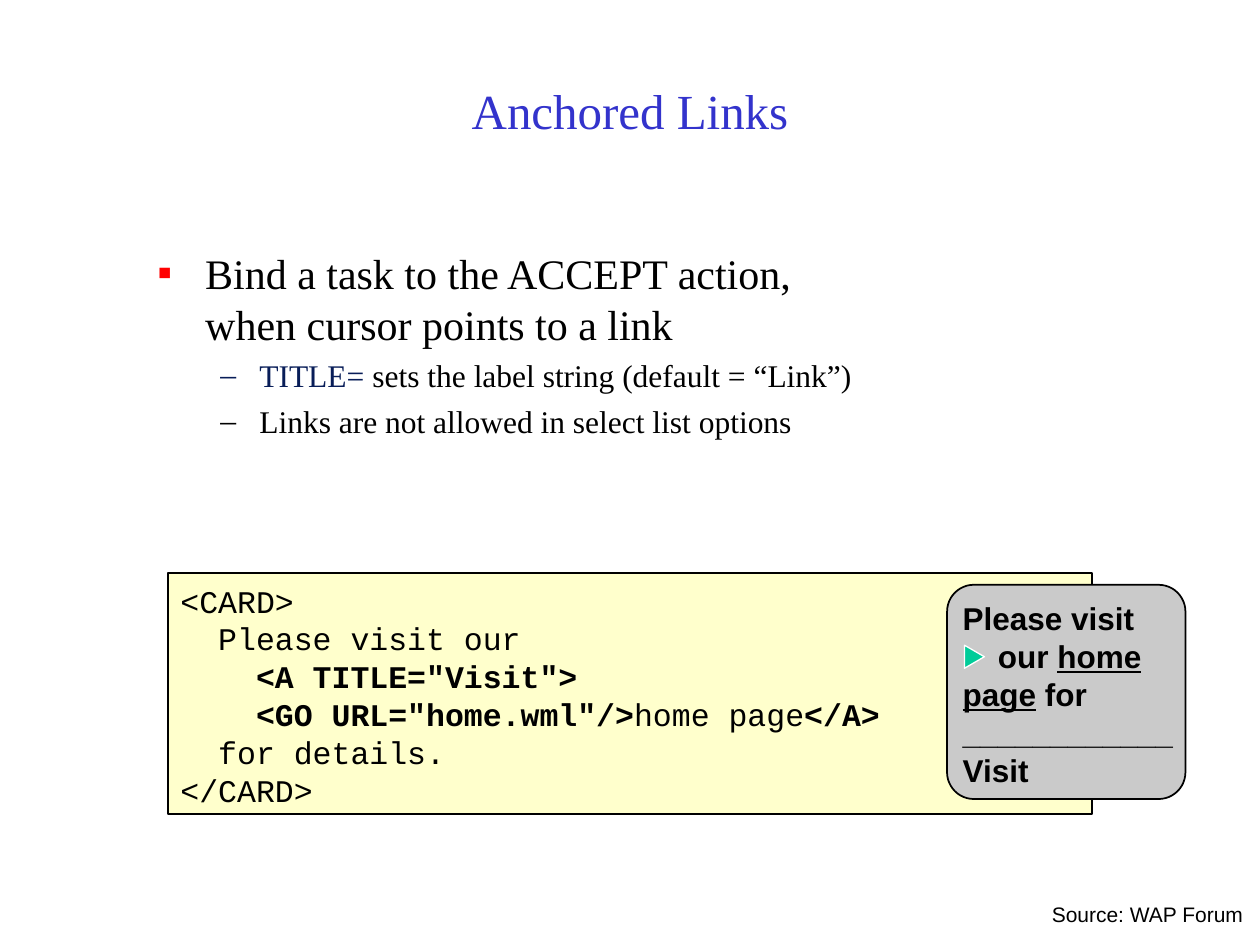
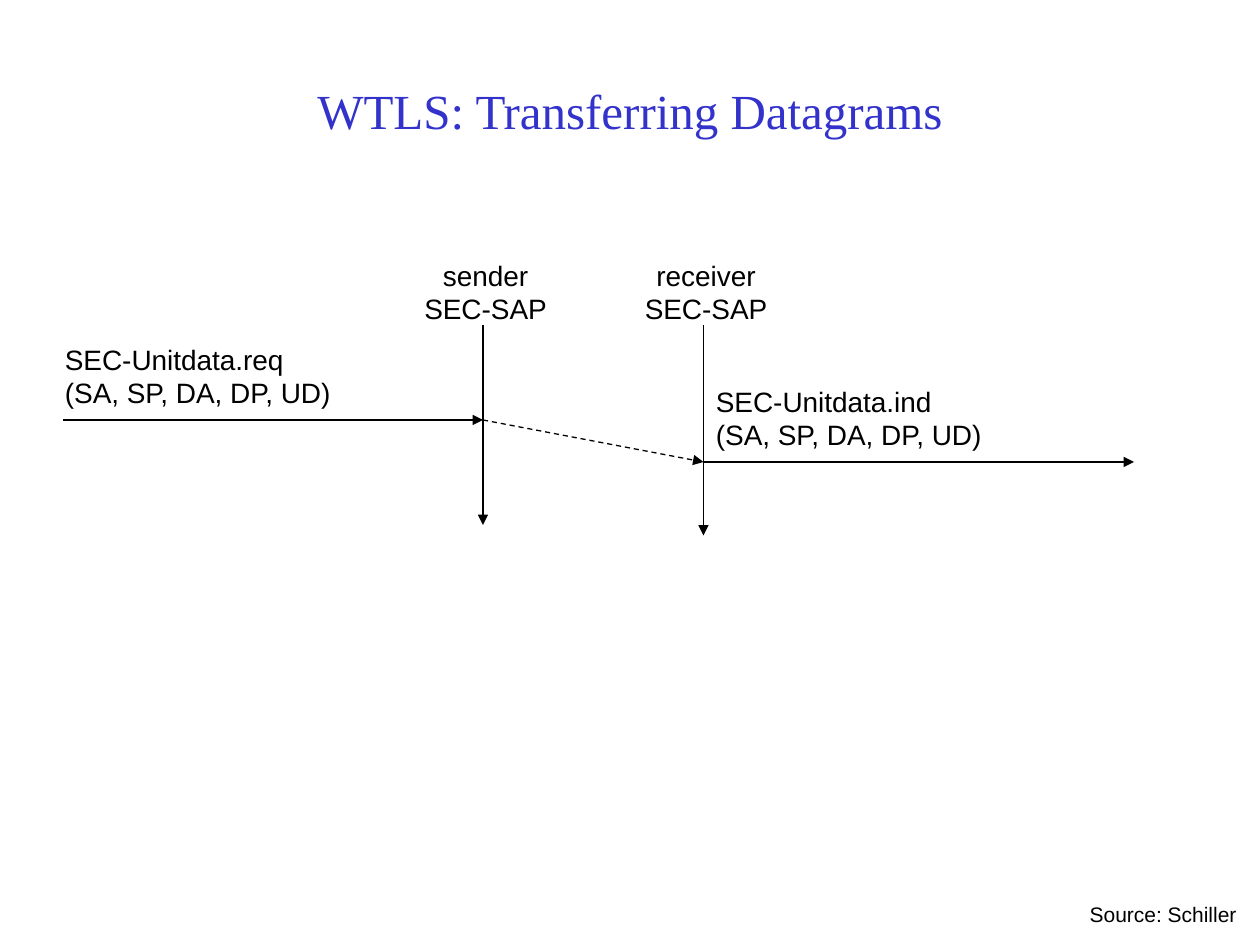
from dataclasses import dataclass

from lxml import etree
from pptx import Presentation
from pptx.dml.color import RGBColor
from pptx.enum import dml, shapes, text
from pptx.oxml.ns import qn
from pptx.util import Emu, Inches, Pt

COLUMNS, ROWS = 120, 90  # twelve grid steps to the inch


@dataclass(frozen=True)
class Theme:
    serif: str = "Times New Roman"
    sans: str = "Arial"
    mono: str = "Courier New"
    ink: str = "000000"
    title: str = "3333CC"
    bullet: str = "FF0000"
    keyword: str = "081D58"
    code_fill: str = "FFFFCC"
    screen_fill: str = "CACACA"
    cursor_fill: str = "00CC99"
    paper: str = "FFFFFF"
    title_size: int = 28
    lead_size: int = 24
    body_size: int = 18
    label_size: int = 16
    source_size: int = 12
    border: float = 1
    hairline: float = 0.75


def add_child(parent, tag, **attributes):
    return etree.SubElement(parent, qn(tag), attributes)


class Deck:
    """Holds the theme and the current slide; lengths are grid columns and rows."""

    def __init__(self, theme):
        self.theme = theme
        self.show = Presentation()
        self.show.slide_width, self.show.slide_height = Inches(10), Inches(7.5)
        self.slide = None

    def x(self, columns):
        return Emu(round(self.show.slide_width * columns / COLUMNS))

    def y(self, rows):
        return Emu(round(self.show.slide_height * rows / ROWS))

    def box(self, left, top, width, height):
        return self.x(left), self.y(top), self.x(width), self.y(height)

    def start_slide(self, title, source, source_left):
        """Open a title-only slide with its heading and source line."""
        t = self.theme
        self.slide = self.show.slides.add_slide(self.show.slide_layouts[5])
        heading = self.slide.shapes.title
        places = zip(("left", "top", "width", "height"), self.box(9, 3, 102, 15))
        for side, value in places:
            setattr(heading, side, value)
        self.set_frame(heading.text_frame, anchor=text.MSO_ANCHOR.MIDDLE)
        self.fill_paragraph(heading.text_frame.paragraphs[0], [title], t.serif,
                            t.title_size, t.title, text.PP_ALIGN.CENTER)
        self.text((source_left, 85.3, 118 - source_left, 3.6), [[source]],
                  t.sans, t.source_size, wrap=False)

    def set_frame(self, frame, wrap=True, anchor=text.MSO_ANCHOR.TOP):
        settings = {
            "word_wrap": wrap, "vertical_anchor": anchor,
            "auto_size": text.MSO_AUTO_SIZE.NONE,
            "margin_left": Inches(0.1), "margin_right": Inches(0.1),
            "margin_top": Inches(0.05), "margin_bottom": Inches(0.05),
        }
        for name, value in settings.items():
            setattr(frame, name, value)

    def fill_paragraph(self, paragraph, runs, font, size, color=None, align=None):
        """Fill a paragraph; a run is plain text or (text, format dict)."""
        paragraph.alignment = align or text.PP_ALIGN.LEFT
        for run in runs:
            words, extra = (run, {}) if isinstance(run, str) else run
            style = {"name": font, "size": Pt(size), "bold": False, **extra}
            ink = style.pop("color", color or self.theme.ink)
            for number, line in enumerate(words.split("\n")):
                if number:
                    paragraph.add_line_break()
                piece = paragraph.add_run()
                piece.text = line
                for name, value in style.items():
                    setattr(piece.font, name, value)
                piece.font.color.rgb = RGBColor.from_string(ink)

    def text(self, place, lines, font, size, align=None, wrap=True):
        frame = self.slide.shapes.add_textbox(*self.box(*place)).text_frame
        self.set_frame(frame, wrap)
        for number, runs in enumerate(lines):
            paragraph = frame.add_paragraph() if number else frame.paragraphs[0]
            self.fill_paragraph(paragraph, runs, font, size, align=align)
        return frame

    def indent(self, paragraph, margin, first=0.0):
        properties = paragraph._p.get_or_add_pPr()
        properties.set("marL", str(Inches(margin)))
        properties.set("indent", str(Inches(first)))
        return properties

    def bullets(self, place, items):
        """Items are (level, bullet colour, runs)."""
        t = self.theme
        levels = ((0.38, -0.38, "▪", t.lead_size, 6),
                  (0.81, -0.31, "–", t.body_size, 4.5))
        frame = self.text(place, [], t.serif, t.body_size)
        for number, (level, color, runs) in enumerate(items):
            margin, first, mark, size, before = levels[level]
            paragraph = frame.add_paragraph() if number else frame.paragraphs[0]
            paragraph.level = level
            if number:
                paragraph.space_before = Pt(before)
            properties = self.indent(paragraph, margin, first)
            add_child(add_child(properties, "a:buClr"), "a:srgbClr", val=color)
            add_child(properties, "a:buFont", typeface=t.serif)
            add_child(properties, "a:buChar", char=mark)
            self.fill_paragraph(paragraph, runs, t.serif, size)

    def shape(self, preset, place, fill, line=None, width=None, adjust=None, turn=0):
        figure = self.slide.shapes.add_shape(preset, *self.box(*place))
        figure.shadow.inherit = False
        figure.fill.solid()
        figure.fill.fore_color.rgb = RGBColor.from_string(fill)
        figure.line.color.rgb = RGBColor.from_string(line or self.theme.ink)
        figure.line.width = Pt(width or self.theme.border)
        figure.rotation = turn
        if adjust is not None:
            figure.adjustments[0] = adjust

    def arrow(self, start, end, dashed=False):
        (x1, y1), (x2, y2) = start, end
        link = self.slide.shapes.add_connector(
            shapes.MSO_CONNECTOR.STRAIGHT,
            self.x(x1), self.y(y1), self.x(x2), self.y(y2))
        link.line.color.rgb = RGBColor.from_string(self.theme.ink)
        link.line.width = Pt(self.theme.hairline)
        if dashed:
            link.line.dash_style = dml.MSO_LINE.DASH
        properties = link._element.spPr
        add_child(properties.find(qn("a:ln")), "a:tailEnd", type="triangle")
        add_child(properties, "a:effectLst")


def anchored_links(deck):
    t = deck.theme
    deck.start_slide("Anchored Links", "Source: WAP Forum", 99)
    bold = {"bold": True}
    underlined = {"bold": True, "underline": True}

    # Explanation
    deck.bullets((13.8, 23, 105, 58), [
        (0, t.bullet,
         ["Bind a task to the ACCEPT action,\nwhen cursor points to a link"]),
        (1, t.keyword, [("TITLE=", {"color": t.keyword}),
                        " sets the label string (default = “Link”)"]),
        (1, t.ink, ["Links are not allowed in select list options"]),
    ])

    # Code listing
    deck.shape(shapes.MSO_SHAPE.RECTANGLE, (16, 54.6, 88, 22.9), t.code_fill)
    deck.text((16, 54.8, 93, 22.8), [
        ["<CARD>"],
        ["  Please visit our"],
        [("    <A TITLE=\"Visit\">", bold)],
        [("    <GO URL=\"home.wml\"/>", bold), "home page", ("</A>", bold)],
        ["  for details."],
        ["</CARD>"],
    ], t.mono, t.body_size)

    # Phone screen with its cursor
    deck.shape(shapes.MSO_SHAPE.ROUNDED_RECTANGLE, (90.2, 55.7, 22.7, 20.4),
               t.screen_fill, adjust=0.125)
    screen = deck.text((90.5, 56.5, 23.6, 19.2), [
        [("Please visit", bold)],
        [("our ", bold), ("home", underlined)],
        [("page", underlined), (" for", bold)],
        [("____________", bold)],
        [("Visit", bold)],
    ], t.sans, t.body_size)
    deck.indent(screen.paragraphs[1], 0.28)
    deck.shape(shapes.MSO_SHAPE.ISOSCELES_TRIANGLE, (91.7, 61.6, 2.2, 1.9),
               t.cursor_fill, t.paper, t.hairline, turn=90)


def transferring_datagrams(deck):
    t = deck.theme
    deck.start_slide("WTLS: Transferring Datagrams", "Source: Schiller", 102.6)
    sender, receiver = 46, 67
    request, indication = 40, 44

    # Timelines of both access points
    for role, column, end in (("sender", sender, 50), ("receiver", receiver, 51)):
        deck.arrow((column, 31), (column, end))
        deck.text((column - 6.75, 24, 14, 7.7), [[role], ["SEC-SAP"]],
                  t.sans, t.label_size, text.PP_ALIGN.CENTER, wrap=False)

    # Service primitives
    for primitive, left, row in (("req", 5, request), ("ind", receiver, indication)):
        deck.text((left, row - 8, 28.5, 7.7),
                  [[f"SEC-Unitdata.{primitive}"], ["(SA, SP, DA, DP, UD)"]],
                  t.sans, t.label_size, wrap=False)
    deck.arrow((6, request), (sender, request))
    deck.arrow((sender, request), (receiver, indication), dashed=True)
    deck.arrow((receiver, indication), (108, indication))


def main():
    deck = Deck(Theme())
    anchored_links(deck)
    transferring_datagrams(deck)
    deck.show.save("out.pptx")


if __name__ == "__main__":
    main()
